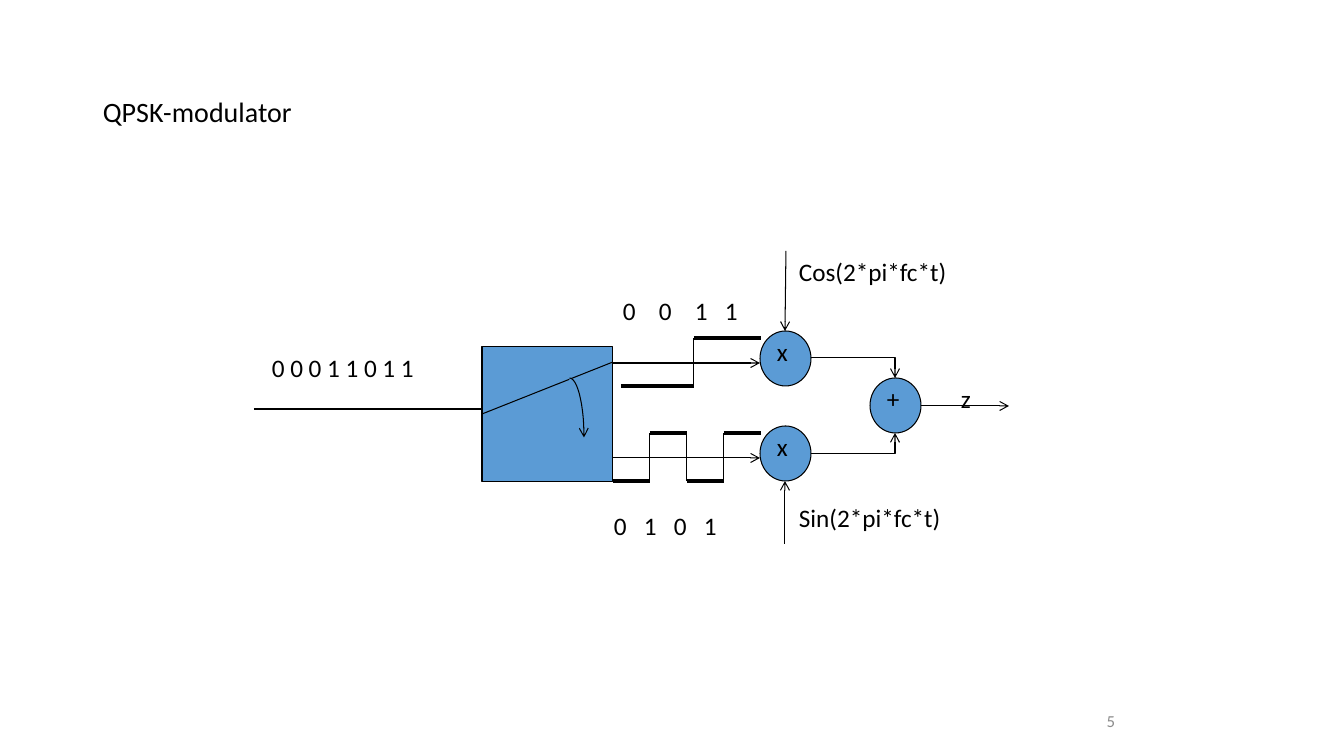
from lxml import etree
from pptx import Presentation
from pptx import util as u
from pptx.dml.color import RGBColor
from pptx.enum import shapes, text
from pptx.oxml import ns

EMU_PER_PX = 9144000 / 1008
BLACK = RGBColor(0x00, 0x00, 0x00)
GRAY = RGBColor(0x8C, 0x8C, 0x8C)
BLUE = RGBColor(0x5B, 0x9B, 0xD5)
THIN, THICK = 0.75, 2.25
NODE_WIDTH, NODE_HEIGHT = 51, 55
LABEL_HEIGHT = 40
WAVE_HEIGHT = 48
BIT_WIDTH = 37


def px(length):
    """Turn pixels into EMU."""
    return u.Emu(round(length * EMU_PER_PX))


def apply(target, values):
    """Set every attribute named in a dict of format values."""
    for name, value in values.items():
        setattr(target, name, value)


def add_child(parent, tag, **attributes):
    """Append a DrawingML element to a parent element."""
    return etree.SubElement(parent, ns.qn(tag), attributes)


def add_label(container, box, words, size=18, color=BLACK, tabs=(),
              anchor=text.MSO_ANCHOR.TOP, paragraph_format=None):
    """Write one line of text in a box, with optional tab stops."""
    label = container.add_textbox(*map(px, box))
    apply(label.text_frame, {"word_wrap": True, "vertical_anchor": anchor})
    paragraph = label.text_frame.paragraphs[0]
    apply(paragraph, paragraph_format or {})
    run = paragraph.add_run()
    run.text = words
    apply(run.font, {"name": "Calibri", "size": u.Pt(size)})
    run.font.color.rgb = color
    if tabs:
        tab_list = add_child(paragraph._p.get_or_add_pPr(), "a:tabLst")
        for stop in tabs:
            add_child(tab_list, "a:tab", pos=str(px(stop)), algn="l")


def add_line(container, start, end, width=THIN, arrow=False, bent=False):
    """Draw a straight or bent line between two points."""
    kind = shapes.MSO_CONNECTOR.ELBOW if bent else shapes.MSO_CONNECTOR.STRAIGHT
    connector = container.add_connector(kind, *map(px, start + end))
    connector.line.width = u.Pt(width)
    connector.line.color.rgb = BLACK
    properties = connector._element.spPr
    if bent:
        properties.find(ns.qn("a:prstGeom")).set("prst", "bentConnector2")
    if arrow:
        add_child(connector.line._get_or_add_ln(), "a:tailEnd", type="arrow")
    add_child(properties, "a:effectLst")


def add_block(container, kind, box):
    """Draw a blue shape with a thin black outline."""
    shape = container.add_shape(kind, *map(px, box))
    shape.shadow.inherit = False
    shape.fill.solid()
    shape.fill.fore_color.rgb = BLUE
    shape.line.color.rgb = BLACK
    shape.line.width = u.Pt(THIN)
    return shape


def add_node(container, left, top, symbol):
    """Draw a round operator with its symbol."""
    node = container.add_group_shape().shapes
    add_block(node, shapes.MSO_SHAPE.OVAL, (left, top, NODE_WIDTH, NODE_HEIGHT))
    add_label(node, (left + 7, top, 36, LABEL_HEIGHT), symbol)


def add_wave(container, bits, starts, low):
    """Draw a bit sequence as thick levels joined by thin edges."""
    levels = [low - WAVE_HEIGHT * int(bit) for bit in bits]
    for start, level in zip(starts, levels):
        add_line(container, (start, level), (start + BIT_WIDTH, level), THICK)
    for start, before, after in zip(starts[1:], levels, levels[1:]):
        if before != after:
            add_line(container, (start, low), (start, low - WAVE_HEIGHT))


def add_splitter(container, left, top, width, height):
    """Draw the input stream and the switch that splits it."""
    right = left + width
    add_line(container, (left - 228, top + 62), (left, top + 62))
    add_label(container, (left - 220, top, 215, LABEL_HEIGHT), "0 0 0 1 1 0 1 1")
    add_block(container, shapes.MSO_SHAPE.RECTANGLE, (left, top, width, height))
    add_line(container, (left, top + 67), (right, top + 15))
    arc = add_block(container, shapes.MSO_SHAPE.ARC, (left + 73, top + 31, 29, 119))
    add_child(arc.line._get_or_add_ln(), "a:tailEnd", type="arrow")


def add_branches(container, left, top):
    """Draw the two bit branches, their carriers and the multipliers."""
    node_left = left + 147
    center = node_left + 25
    for node_top in (top, top + 95):
        add_line(container, (left, node_top + 32), (node_left, node_top + 32), arrow=True)
        add_node(container, node_left, node_top, "x")
    add_line(container, (center + 1, top - 80), (center, top), arrow=True)
    add_line(container, (center, top + 213), (center, top + 150), arrow=True)
    add_label(container, (center + 4, top - 80, 285, LABEL_HEIGHT), "Cos(2*pi*fc*t)")
    add_label(container, (center + 4, top + 166, 264, LABEL_HEIGHT), "Sin(2*pi*fc*t)")
    add_label(container, (left, top - 41, 183, LABEL_HEIGHT), "0\t0\t1\t1", tabs=(36, 72, 102))
    add_label(container, (left - 9, top + 174, 176, LABEL_HEIGHT), "0\t1\t0\t1", tabs=(30, 60, 90))
    add_wave(container, "0011", [left + step for step in (8, 44, 81, 111)], top + 55)
    add_wave(container, "0101", [left + BIT_WIDTH * step for step in range(4)], top + 150)


def add_adder(container, left, top):
    """Draw the adder, its two inputs and the output."""
    center = left + 25
    right, middle = left + NODE_WIDTH, top + 28
    add_node(container, left, top, "+")
    add_line(container, (left - 59, top - 20), (center, top), arrow=True, bent=True)
    add_line(container, (left - 59, top + 76), (center, top + 55), arrow=True, bent=True)
    add_line(container, (right, middle), (right + 88, middle), arrow=True)
    add_label(container, (right + 30, top, 44, LABEL_HEIGHT), "z")


def add_frame(container, title, number):
    """Write the slide title and the slide number."""
    middle = text.MSO_ANCHOR.MIDDLE
    add_label(container, (93, 40, 1159, 146), title, 20, anchor=middle,
              paragraph_format={"line_spacing": 0.9})
    add_label(container, (890, 701, 235, LABEL_HEIGHT), number, 12, GRAY, anchor=middle,
              paragraph_format={"alignment": text.PP_ALIGN.RIGHT})


def main():
    """Build the slide and save it."""
    presentation = Presentation()
    apply(presentation, {"slide_width": px(1344), "slide_height": px(756)})
    slide = presentation.slides.add_slide(presentation.slide_layouts[6])
    add_frame(slide.shapes, "QPSK-modulator", "5")
    add_splitter(slide.shapes, 482, 347, 131, 135)
    add_branches(slide.shapes, 613, 331)
    add_adder(slide.shapes, 870, 378)
    presentation.save("out.pptx")


if __name__ == "__main__":
    main()
